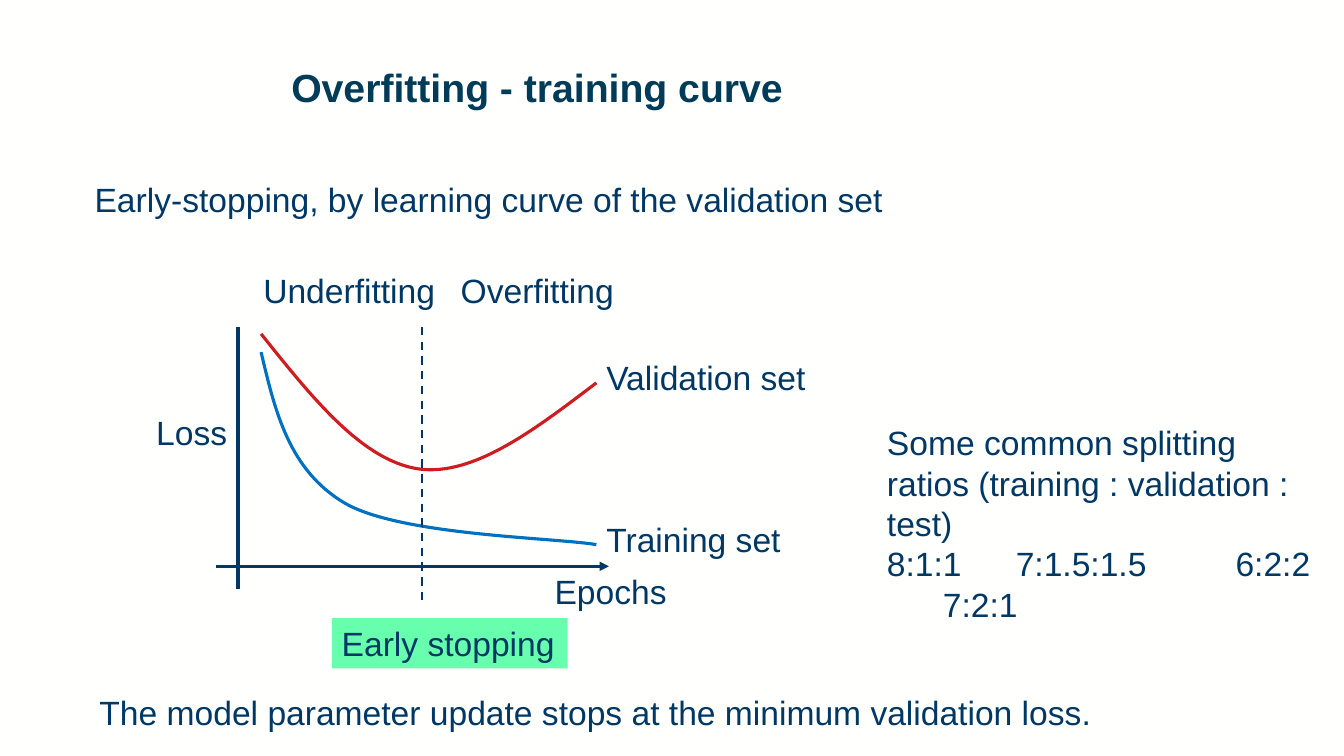
from lxml import etree
from pptx import Presentation
from pptx.dml.color import RGBColor
from pptx.enum.dml import MSO_LINE_DASH_STYLE as Dash
from pptx.enum.shapes import MSO_CONNECTOR as Connector
from pptx.enum.text import MSO_ANCHOR as Anchor
from pptx.oxml.ns import qn
from pptx.util import Pt

NAVY, TITLE_COLOUR, MINT = "003865", "003B58", "67FFAD"
BLUE, RED, PAPER = "0070C0", "CF1C20", "FFFFFE"

TITLE = "Overfitting - training curve"
RATIOS = [
    "Some common splitting ratios (training : validation : test)",
    "8:1:1\t7:1.5:1.5\t6:2:2\v\t7:2:1",
]
RATIO_TABS = (40, 92, 249)

# text, left, top, width
LABELS = [
    ("Validation set", 426, 251.5, 158.5),
    ("Training set", 426, 367, 140),
    ("Underfitting", 181, 189.5, 139),
    ("Overfitting", 322, 189.5, 125),
    ("Loss", 104.5, 291, 65.5),
    ("Epochs", 389, 404.5, 96),
    ("Early-stopping, by learning curve of the validation set", 60.5, 124, 583),
    ("The model parameter update stops at the minimum validation loss.",
     64, 490.5, 736.5),
]
LABEL_HEIGHT = 36

# start point, then two control points and an end point per segment
TRAINING_CURVE = [(186.5, 251.5), (196.5, 294), (206.5, 336), (246.5, 359.5),
                  (286.5, 382.5), (395.5, 384), (426, 389)]
VALIDATION_CURVE = [(186.5, 238.5), (222.5, 283.5), (258.5, 329), (299, 335),
                    (338.5, 340.5), (382.5, 306.5), (426, 273.5)]

AXIS_Y, AXIS_X, PLOT_TOP, STOP_X = 404.5, 170, 233.5, 301.5


def colour(value):
    return RGBColor.from_string(value)


def add_text(page, paragraphs, left, top, width, height=LABEL_HEIGHT, *,
             size=24, ink=NAVY, bold=False, wrap=False, fill=None, tabs=()):
    box = page.shapes.add_textbox(Pt(left), Pt(top), Pt(width), Pt(height))
    if fill:
        box.fill.solid()
        box.fill.fore_color.rgb = colour(fill)
    frame = box.text_frame
    frame.word_wrap = wrap
    frame.vertical_anchor = Anchor.TOP
    for index, text in enumerate(paragraphs):
        para = frame.add_paragraph() if index else frame.paragraphs[0]
        para.text = text
        if tabs and "\t" in text:
            stops = etree.SubElement(para._p.get_or_add_pPr(), qn("a:tabLst"))
            for stop in tabs:
                etree.SubElement(stops, qn("a:tab"), pos=str(Pt(stop)), algn="l")
        for span in para.runs:
            span.font.name = "Arial"
            span.font.size = Pt(size)
            span.font.bold = bold
            span.font.color.rgb = colour(ink)
    return box


def add_line(page, start, end, width=2.25, dash=None, arrow=False):
    line = page.shapes.add_connector(
        Connector.STRAIGHT, *(Pt(value) for value in start + end))
    line.line.color.rgb = colour(NAVY)
    line.line.width = Pt(width)
    if dash:
        line.line.dash_style = dash
    if arrow:
        etree.SubElement(line.line._get_or_add_ln(), qn("a:tailEnd"), type="triangle")
    etree.SubElement(line._element.spPr, qn("a:effectLst"))


def add_curve(page, points, ink):
    """Draw a cubic Bezier path: every three points after the first are a segment."""
    start, *rest = [(Pt(x), Pt(y)) for x, y in points]
    builder = page.shapes.build_freeform(*start)
    builder.add_line_segments(rest, close=False)
    curve = builder.convert_to_shape()
    outline = next(curve._element.iter(qn("a:path")))
    segments = outline.findall(qn("a:lnTo"))
    for first in range(0, len(segments), 3):
        bezier = etree.SubElement(outline, qn("a:cubicBezTo"))
        for segment in segments[first:first + 3]:
            bezier.append(segment[0])
            outline.remove(segment)
    curve.shadow.inherit = False
    curve.fill.background()
    curve.line.color.rgb = colour(ink)
    curve.line.width = Pt(2.25)


def main():
    deck = Presentation()
    deck.slide_width, deck.slide_height = Pt(960), Pt(540)
    page = deck.slides.add_slide(deck.slide_layouts[6])
    page.background.fill.solid()
    page.background.fill.fore_color.rgb = colour(PAPER)

    add_text(page, [TITLE], 201, 42, 725, 70,
             size=28, ink=TITLE_COLOUR, bold=True, wrap=True)
    add_text(page, ["Early stopping"], 237, 441.5, 168.5, fill=MINT)
    for text, left, top, width in LABELS:
        add_text(page, [text], left, top, width)

    add_line(page, (154, AXIS_Y), (435, AXIS_Y), arrow=True)
    add_line(page, (AXIS_X, 421), (AXIS_X, PLOT_TOP))
    add_curve(page, TRAINING_CURVE, BLUE)
    add_curve(page, VALIDATION_CURVE, RED)
    add_line(page, (STOP_X, PLOT_TOP), (STOP_X, 429), width=1.5, dash=Dash.DASH)

    add_text(page, RATIOS, 626.5, 298, 327, 152.5, wrap=True, tabs=RATIO_TABS)
    deck.save("out.pptx")


if __name__ == "__main__":
    main()
